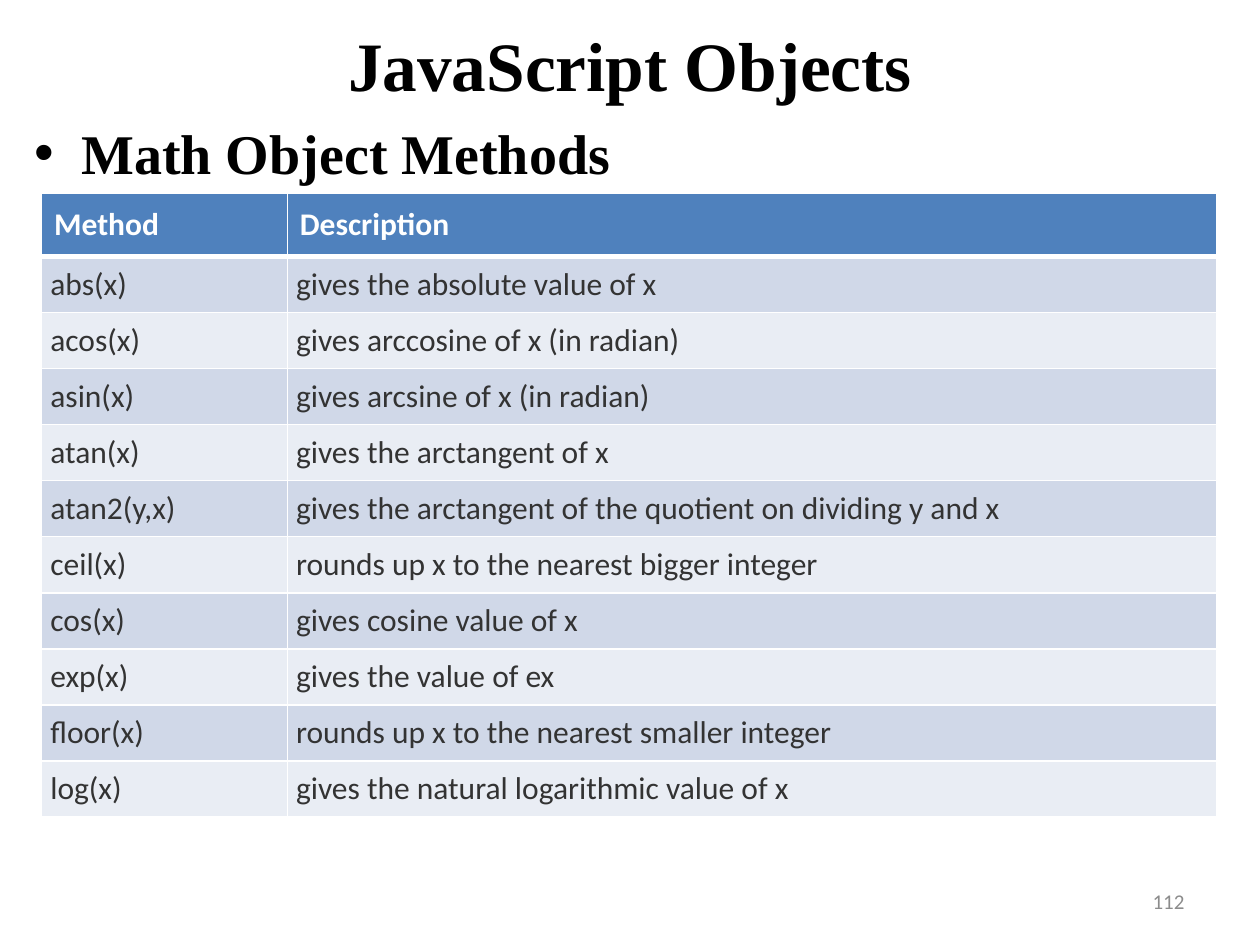
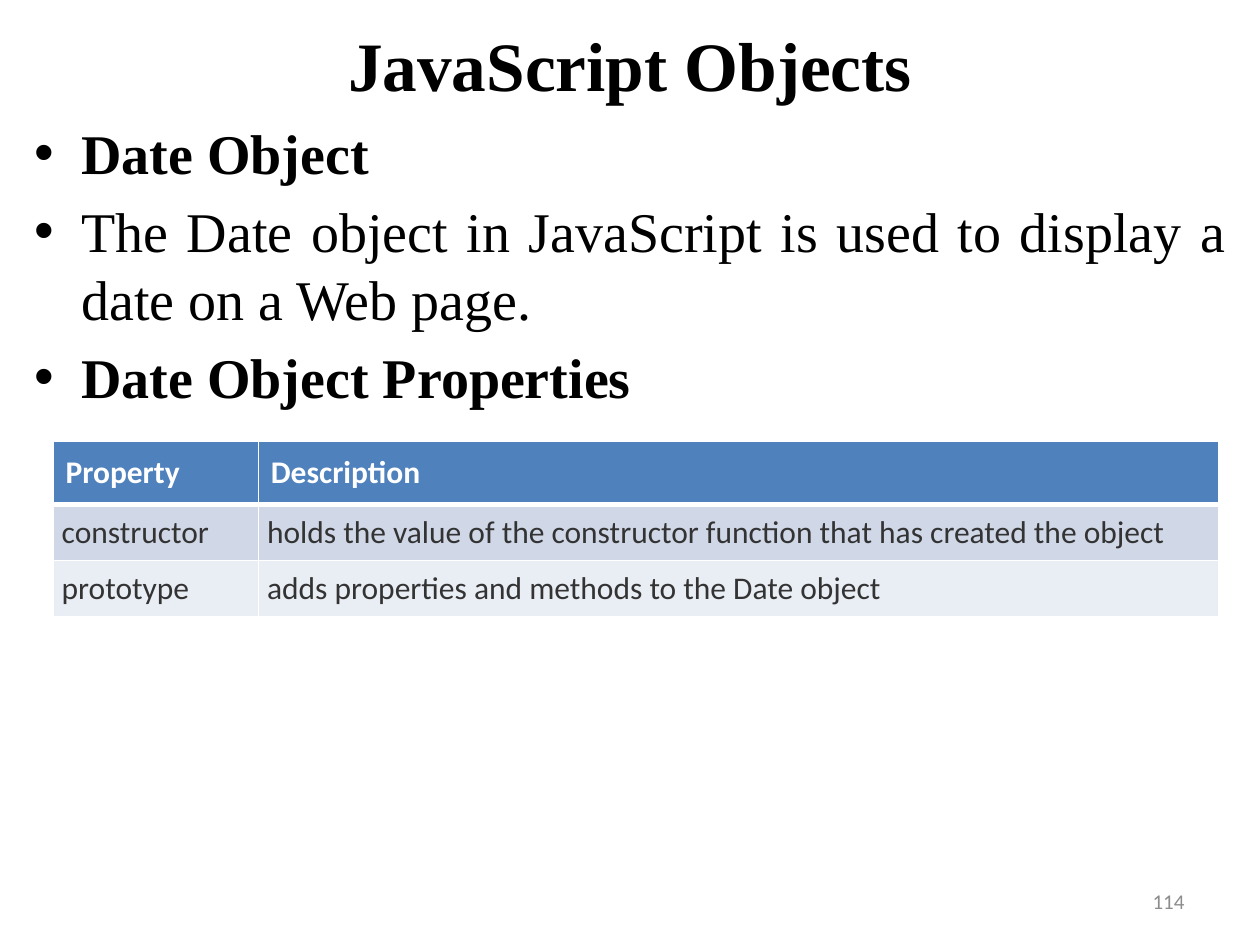
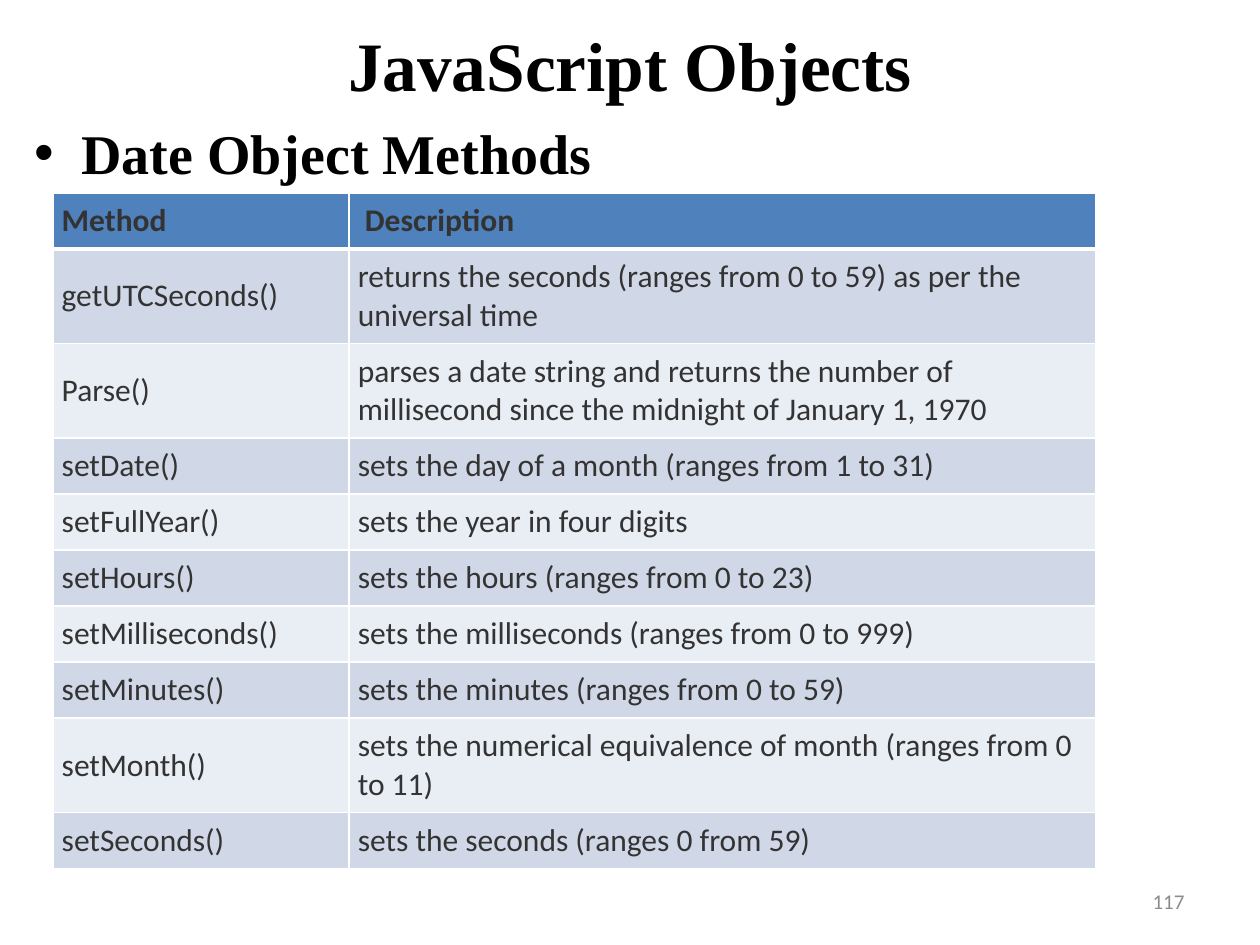
"""Build three slides on JavaScript objects, each with a bulleted heading and a table."""
from dataclasses import dataclass

from lxml import etree
from pptx import Presentation
from pptx.dml.color import RGBColor
from pptx.enum.text import MSO_ANCHOR, MSO_AUTO_SIZE, PP_ALIGN
from pptx.oxml.ns import qn
from pptx.util import Inches, Pt

MIDDLE, TOP = MSO_ANCHOR.MIDDLE, MSO_ANCHOR.TOP
CENTER, JUSTIFY, RIGHT = PP_ALIGN.CENTER, PP_ALIGN.JUSTIFY, PP_ALIGN.RIGHT
NO_FIT = MSO_AUTO_SIZE.NONE

TITLE = "JavaScript Objects"
PAGES = [
    {
        "number": "112",
        "bullets": [("Math Object Methods", True)],
        "table": {"left": 0.33, "top": 1.53, "columns": (1.95, 7.38), "header": "light"},
        "rows": [
            ("Method", "Description"),
            ("abs(x)", "gives the absolute value of x"),
            ("acos(x)", "gives arccosine of x (in radian)"),
            ("asin(x)", "gives arcsine of x (in radian)"),
            ("atan(x)", "gives the arctangent of x"),
            ("atan2(y,x)", "gives the arctangent of the quotient on dividing y and x"),
            ("ceil(x)", "rounds up x to the nearest bigger integer"),
            ("cos(x)", "gives cosine value of x"),
            ("exp(x)", "gives the value of ex"),
            ("floor(x)", "rounds up x to the nearest smaller integer"),
            ("log(x)", "gives the natural logarithmic value of x"),
        ],
    },
    {
        "number": "114",
        "bullets": [
            ("Date Object", True),
            ("The Date object in JavaScript is used to display a date on a Web page.", False),
            ("Date Object Properties", True),
        ],
        "table": {"left": 0.42, "top": 3.5, "columns": (1.63, 7.62), "header": "light"},
        "rows": [
            ("Property", "Description"),
            ("constructor",
             "holds the value of the constructor function that has created the object"),
            ("prototype", "adds properties and methods to the Date object"),
        ],
    },
    {
        "number": "117",
        "bullets": [("Date Object Methods", True)],
        "table": {"left": 0.42, "top": 1.53, "columns": (2.35, 5.93), "header": "dark"},
        "rows": [
            ("Method", " Description"),
            ("getUTCSeconds()",
             "returns the seconds (ranges from 0 to 59) as per the universal time"),
            ("Parse()", "parses a date string and returns the number of millisecond "
                        "since the midnight of January 1, 1970"),
            ("setDate()", "sets the day of a month (ranges from 1 to 31)"),
            ("setFullYear()", "sets the year in four digits"),
            ("setHours()", "sets the hours (ranges from 0 to 23)"),
            ("setMilliseconds()", "sets the milliseconds (ranges from 0 to 999)"),
            ("setMinutes()", "sets the minutes (ranges from 0 to 59)"),
            ("setMonth()", "sets the numerical equivalence of month (ranges from 0 to 11)"),
            ("setSeconds()", "sets the seconds (ranges 0 from 59)"),
        ],
    },
]


@dataclass(frozen=True)
class Theme:
    """Colours, fonts, type sizes and shared places."""
    serif: str = "Times New Roman"
    sans: str = "Calibri"
    title_size: float = 39.6
    body_size: float = 32
    table_size: float = 18
    number_size: float = 12
    black: str = "000000"
    white: str = "FFFFFF"
    cell_text: str = "333333"
    number_text: str = "8C8C8C"
    header_fill: str = "4F81BD"
    band_fills: tuple = ("D0D8E8", "E9EDF4")
    title_place: tuple = (0.25, 0.17, 9.5, 0.67)
    body_place: tuple = (0.17, 0.83, 9.67, 6.42)
    number_place: tuple = (7.17, 6.95, 2.33, 0.4)
    row_height: float = 0.41


THEME = Theme()
HEADERS = {"light": (THEME.white, 0.1), "dark": (THEME.cell_text, 0.07)}


def assign(target, values):
    """Set each named attribute on the target."""
    for name, value in values.items():
        setattr(target, name, value)


def write(para, text, font, size, color, bold=False):
    """Add one formatted span to a paragraph."""
    span = para.add_run()
    span.text = text
    assign(span.font, {"name": font, "size": Pt(size), "bold": bold})
    span.font.color.rgb = RGBColor.from_string(color)


def place(box, position, anchor):
    """Move a box and fix its text frame."""
    assign(box, dict(zip(("left", "top", "width", "height"), map(Inches, position))))
    assign(box.text_frame,
           {"word_wrap": True, "auto_size": NO_FIT, "vertical_anchor": anchor})
    return box.text_frame


def add_border(cell, side, points):
    """Draw one white edge of a table cell."""
    line = etree.SubElement(cell._tc.get_or_add_tcPr(), qn(f"a:ln{side}"), w=str(Pt(points)))
    fill = etree.SubElement(line, qn("a:solidFill"))
    etree.SubElement(fill, qn("a:srgbClr"), val=THEME.white)


def fill_cell(cell, text, row, header):
    """Format one cell by its row: the header first, then alternating bands."""
    color, inset = HEADERS[header] if row == 0 else (THEME.cell_text, 0.07)
    edges = {"L": 1, "R": 1, "T": 3 if row == 1 else 1, "B": 3 if row == 0 else 1}
    for side, points in edges.items():
        add_border(cell, side, points)
    cell.fill.solid()
    band = THEME.header_fill if row == 0 else THEME.band_fills[(row - 1) % 2]
    cell.fill.fore_color.rgb = RGBColor.from_string(band)
    margins = (f"margin_{side}" for side in ("left", "top", "right", "bottom"))
    assign(cell, dict.fromkeys(margins, Inches(inset)))
    cell.vertical_anchor = MIDDLE
    write(cell.text_frame.paragraphs[0], text, THEME.sans, THEME.table_size, color, row == 0)


def add_grid(page, rows, left, top, columns, header):
    """Add the table of names and descriptions."""
    frame = page.shapes.add_table(
        len(rows), len(columns), Inches(left), Inches(top),
        Inches(sum(columns)), Inches(THEME.row_height * len(rows)))
    for column, width in zip(frame.table.columns, columns):
        column.width = Inches(width)
    for row, texts in enumerate(rows):
        for column, text in enumerate(texts):
            fill_cell(frame.table.cell(row, column), text, row, header)


def add_page(deck, content):
    """Add a slide with its title, bullets, number and table."""
    page = deck.slides.add_slide(deck.slide_layouts[1])
    title = place(page.shapes.title, THEME.title_place, MIDDLE).paragraphs[0]
    title.alignment = CENTER
    write(title, TITLE, THEME.serif, THEME.title_size, THEME.black, True)

    body = place(page.placeholders[1], THEME.body_place, TOP)
    body.margin_top = Inches(0.11)
    for index, (text, bold) in enumerate(content["bullets"]):
        para = body.add_paragraph() if index else body.paragraphs[0]
        para.alignment = JUSTIFY
        if index == 0:
            para.space_before = Pt(0)
        write(para, text, THEME.serif, THEME.body_size, THEME.black, bold)

    number_box = page.shapes.add_textbox(0, 0, 0, 0)
    number = place(number_box, THEME.number_place, MIDDLE).paragraphs[0]
    number.alignment = RIGHT
    write(number, content["number"], THEME.sans, THEME.number_size, THEME.number_text)
    add_grid(page, content["rows"], **content["table"])


def main():
    """Build and save the deck."""
    deck = Presentation()
    assign(deck, {"slide_width": Inches(10), "slide_height": Inches(7.5)})
    for content in PAGES:
        add_page(deck, content)
    deck.save("out.pptx")


if __name__ == "__main__":
    main()
